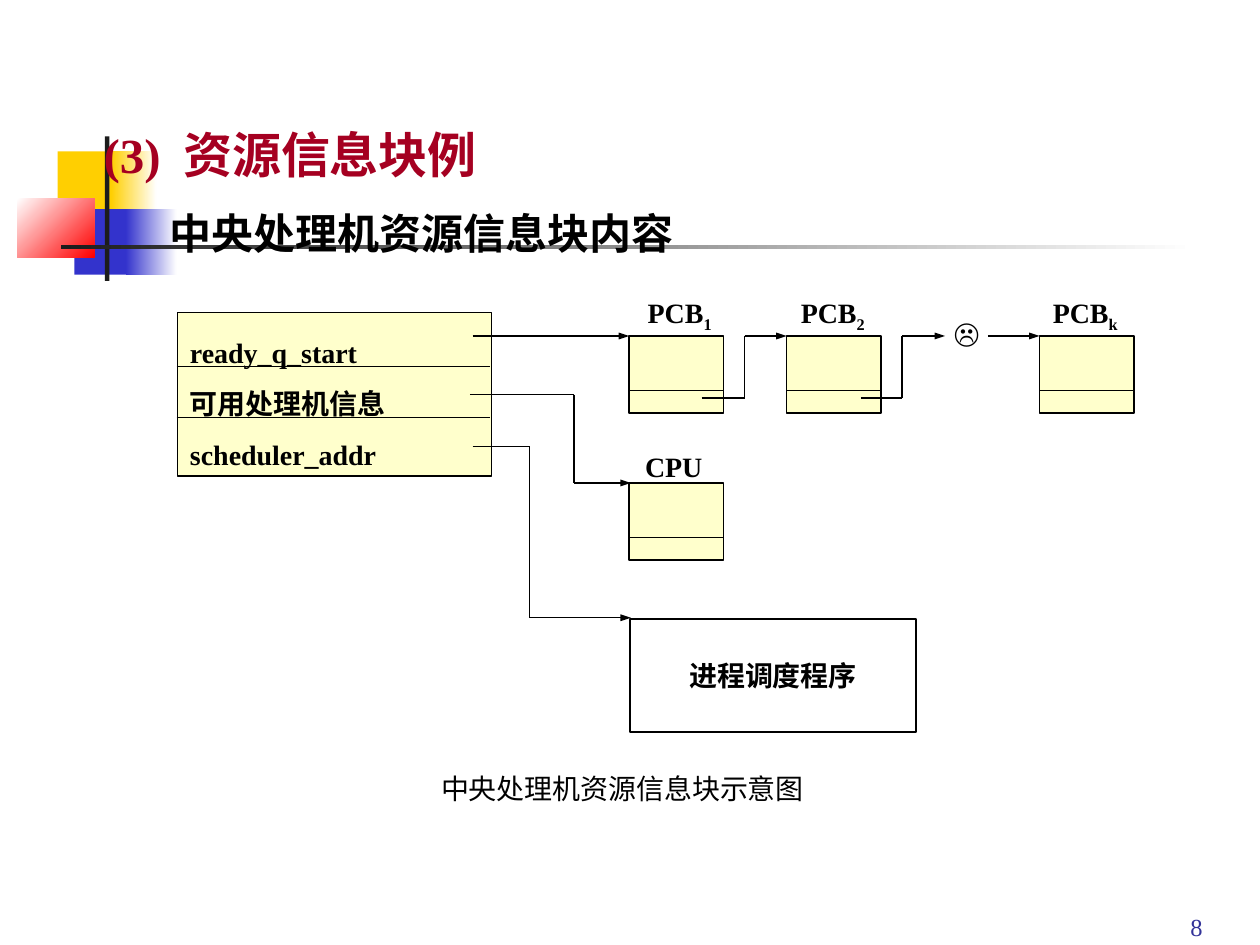
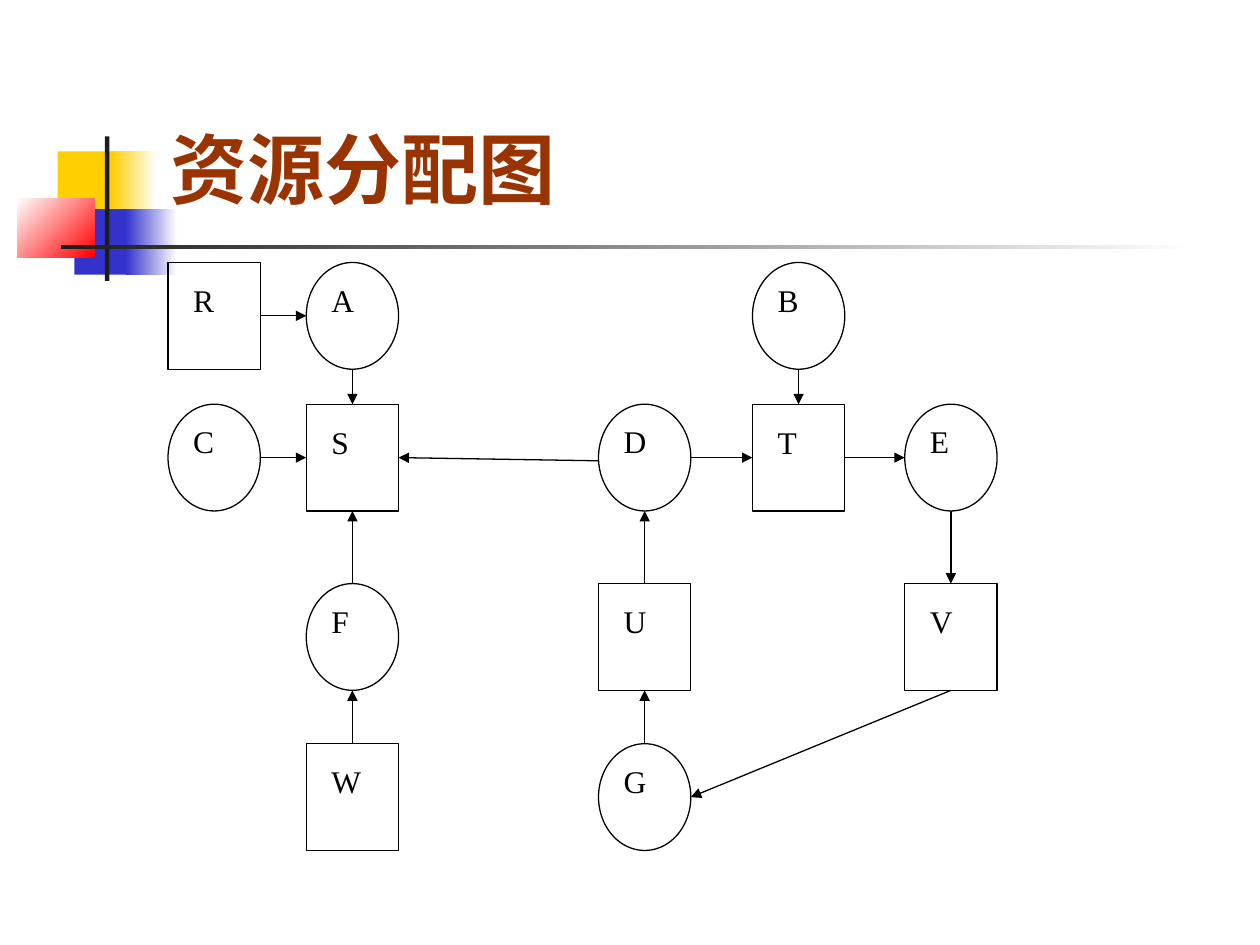
from lxml.etree import SubElement
from pptx import Presentation
from pptx.dml.color import RGBColor
from pptx.enum.shapes import MSO_CONNECTOR, MSO_SHAPE
from pptx.enum.text import MSO_ANCHOR, MSO_AUTO_SIZE, PP_ALIGN
from pptx.oxml.ns import qn
from pptx.util import Pt

SERIF = "Times New Roman"
BLACK, WHITE, CREAM = "000000", "FFFFFF", "FFFFCC"
YELLOW, BLUE, RED, DARK = "FFCF01", "3333CC", "FF0000", "1C1C1C"

BODY = dict(name=SERIF, size=Pt(16), bold=False)
LABEL = {**BODY, "bold": True}
NODE = {**BODY, "size": Pt(18)}
HEADING = {**LABEL, "size": Pt(28)}
SUBHEADING = {**LABEL, "size": Pt(24)}
PAGE = {**BODY, "size": Pt(14)}
BIG_TITLE = dict(name="Arial", size=Pt(44), bold=True)
FACE = {**LABEL, "name": "Roboto"}

BANDS = [
    ((33, 86.5, 34.5, 37.5), (YELLOW,), 0),
    ((63.5, 86.5, 26, 37.5), (YELLOW, WHITE), 0),
    ((42.5, 119.5, 33, 37.5), (BLUE,), 0),
    ((72, 119.5, 29, 37.5), (BLUE, WHITE), 0),
    ((10, 113.5, 44, 33.5), (WHITE, RED), 315),
    ((60, 78, 2.5, 82.5), (DARK,), 0),
    ((35, 140, 648, 2.5), (DARK, WHITE), 0),
]

INFO_BOX = (101.5, 178.5, 179.5, 93.5)
INFO_ROWS = ["ready_q_start", "可用处理机信息", "scheduler_addr"]
INFO_RULES = [209.5, 238.5]
BLOCK_W, BLOCK_H, BLOCK_RULE = 54, 44, 31
BLOCKS = [
    ("PCB", "1", (359.5, 192), 363),
    ("PCB", "2", (449.5, 192), 450.5),
    ("PCB", "k", (594, 192), 594.5),
    ("CPU", "", (359.5, 276), 361.5),
]
WIRES = [
    (1.5, [(270, 192), (359.5, 192)]),
    (1, [(401, 227.5), (425.5, 227.5), (425.5, 192), (449.5, 192)]),
    (1, [(492, 227.5), (515.5, 227.5), (515.5, 192), (540, 192)]),
    (1, [(564.5, 192), (594, 192)]),
    (1, [(268.5, 225.5), (328, 225.5), (328, 276), (360.5, 276)]),
    (0.75, [(270, 255), (302.5, 255), (302.5, 353), (360.5, 353)]),
]

COLS = [96, 175, 342, 430, 517]
ROWS = [150, 231, 333.5, 425]
NODE_W, NODE_H = 52.75, 61
RESOURCES = {"R": (0, 0), "S": (1, 1), "T": (3, 1), "U": (2, 2), "V": (4, 2), "W": (1, 3)}
PROCESSES = {"A": (1, 0), "B": (3, 0), "C": (0, 1), "D": (2, 1), "E": (4, 1), "F": (1, 2), "G": (2, 3)}
SIDES = {"left": (0, 0.5), "right": (1, 0.5), "top": (0.5, 0), "bottom": (0.5, 1), "low left": (0, 0.53)}
EDGES = [
    ("R", "right", "A", "left"),
    ("A", "bottom", "S", "top"),
    ("C", "right", "S", "left"),
    ("D", "low left", "S", "right"),
    ("W", "top", "F", "bottom"),
    ("F", "top", "S", "bottom"),
    ("G", "top", "U", "bottom"),
    ("U", "top", "D", "bottom"),
    ("D", "right", "T", "left"),
    ("B", "bottom", "T", "top"),
    ("T", "right", "E", "left"),
    ("E", "bottom", "V", "top"),
    ("V", "bottom", "G", "right"),
]


def rgb(color):
    return RGBColor.from_string(color)


def add_box(s, box, kind=MSO_SHAPE.RECTANGLE, fill=None, line=0.75):
    sp = s.shapes.add_shape(kind, *map(Pt, box))
    sp.shadow.inherit = False
    if fill:
        sp.fill.solid()
        sp.fill.fore_color.rgb = rgb(fill)
    else:
        sp.fill.background()
    if line:
        sp.line.color.rgb = rgb(BLACK)
        sp.line.width = Pt(line)
    else:
        sp.line.fill.background()
    return sp


def add_run(p, text, fmt, color=BLACK):
    r = p.add_run()
    r.text = text
    for key, value in fmt.items():
        setattr(r.font, key, value)
    r.font.color.rgb = rgb(color)
    return r


def write(sp, lines, fmt, color=BLACK, align=PP_ALIGN.LEFT, anchor=MSO_ANCHOR.TOP, **frame):
    tf = sp.text_frame
    settings = dict(word_wrap=True, auto_size=MSO_AUTO_SIZE.NONE, vertical_anchor=anchor, **frame)
    for key, value in settings.items():
        setattr(tf, key, value)
    for i, line in enumerate(lines):
        p = tf.add_paragraph() if i else tf.paragraphs[0]
        p.alignment = align
        add_run(p, line, fmt, color)
    return tf


def add_text(s, box, text, fmt, color=BLACK, **options):
    return write(s.shapes.add_textbox(*map(Pt, box)), [text], fmt, color, **options)


def set_title(s, box, text, fmt, color, anchor):
    sp = s.shapes.title
    sp.left, sp.top, sp.width, sp.height = map(Pt, box)
    return write(sp, [text], fmt, color, anchor=anchor)


def add_line(s, start, end, width=0.75, head=None):
    cx = s.shapes.add_connector(MSO_CONNECTOR.STRAIGHT, *map(Pt, start + end))
    cx.line.color.rgb = rgb(BLACK)
    cx.line.width = Pt(width)
    if head:
        SubElement(cx.line._get_or_add_ln(), qn("a:tailEnd"), type="triangle", w=head, len="med")
    SubElement(cx.element.spPr, qn("a:effectLst"))


def decorate(layout, s):
    for i, (box, colors, angle) in enumerate(BANDS):
        sp = add_box(s, box, fill=colors[0], line=0)
        if len(colors) > 1:
            sp.fill.gradient()
            sp.fill.gradient_angle = angle
            for stop, color in zip(sp.fill.gradient_stops, colors):
                stop.color.rgb = rgb(color)
        sp.element.nvSpPr.cNvPr.set("id", str(100 + i))
        layout.shapes.element.append(sp.element)


def build_info_block(s):
    tf = set_title(s, (52, 68, 653, 40), "(3)\t资源信息块例", HEADING, "A50021", MSO_ANCHOR.MIDDLE)
    tabs = SubElement(tf.paragraphs[0]._p.get_or_add_pPr(), qn("a:tabLst"))
    SubElement(tabs, qn("a:tab"), pos=str(Pt(45.5)), algn="l")
    add_text(s, (90, 113, 613, 40), "中央处理机资源信息块内容", SUBHEADING, anchor=MSO_ANCHOR.MIDDLE)
    add_text(s, (669, 517.5, 29.5, 22.5), "8", PAGE, "333399", align=PP_ALIGN.CENTER)

    info = add_box(s, INFO_BOX, fill=CREAM)
    tf = write(info, INFO_ROWS, LABEL, margin_top=Pt(9.6))
    for p in tf.paragraphs:
        p.line_spacing = 1.2
    for p in tf.paragraphs[1:]:
        p.space_before = Pt(6)
    for y in INFO_RULES:
        add_line(s, (101, y), (280, y))

    for name, index, (x, y), label_x in BLOCKS:
        add_box(s, (x, y, BLOCK_W, BLOCK_H), fill=CREAM)
        add_line(s, (x, y + BLOCK_RULE), (x + BLOCK_W, y + BLOCK_RULE))
        tf = add_text(s, (label_x, y - 26.5 + 4 * (not index), 57, 28), name, LABEL)
        if index:
            r = add_run(tf.paragraphs[0], index, LABEL)
            r.font._element.set("baseline", "-25000")

    add_text(s, (538, 177, 38, 17.5), "☹", FACE)
    scheduler = add_box(s, (360, 353.5, 163.5, 65), line=1)
    write(scheduler, ["进程调度程序"], LABEL, align=PP_ALIGN.CENTER, anchor=MSO_ANCHOR.MIDDLE)
    for width, points in WIRES:
        for start, end in zip(points, points[1:]):
            last = end == points[-1]
            add_line(s, start, end, width if last else 0.75, "sm" if last else None)
    add_text(s, (245, 437.5, 238.5, 30), "中央处理机资源信息块示意图", BODY)


def build_allocation_graph(s):
    set_title(s, (90, 36, 613.5, 90), "资源分配图", BIG_TITLE, "993300", MSO_ANCHOR.BOTTOM)
    groups = [
        (RESOURCES, MSO_SHAPE.RECTANGLE, 14.4, 10.5),
        (PROCESSES, MSO_SHAPE.OVAL, 6.7, 1.5),
    ]
    for nodes, kind, left, top in groups:
        for name, (col, row) in nodes.items():
            sp = add_box(s, (COLS[col], ROWS[row], NODE_W, NODE_H), kind)
            write(sp, [name], NODE, margin_left=Pt(left), margin_top=Pt(top), margin_right=0)

    places = {**RESOURCES, **PROCESSES}

    def port(name, side):
        col, row = places[name]
        dx, dy = SIDES[side]
        return COLS[col] + dx * NODE_W, ROWS[row] + dy * NODE_H

    for source, out_side, target, in_side in EDGES:
        add_line(s, port(source, out_side), port(target, in_side), head="med")


def main():
    prs = Presentation()
    prs.slide_width, prs.slide_height = Pt(720), Pt(540)
    layout = prs.slide_layouts[5]
    info, graph = [prs.slides.add_slide(layout) for _ in range(2)]
    decorate(layout, info)
    build_info_block(info)
    build_allocation_graph(graph)
    prs.save("out.pptx")


if __name__ == "__main__":
    main()
